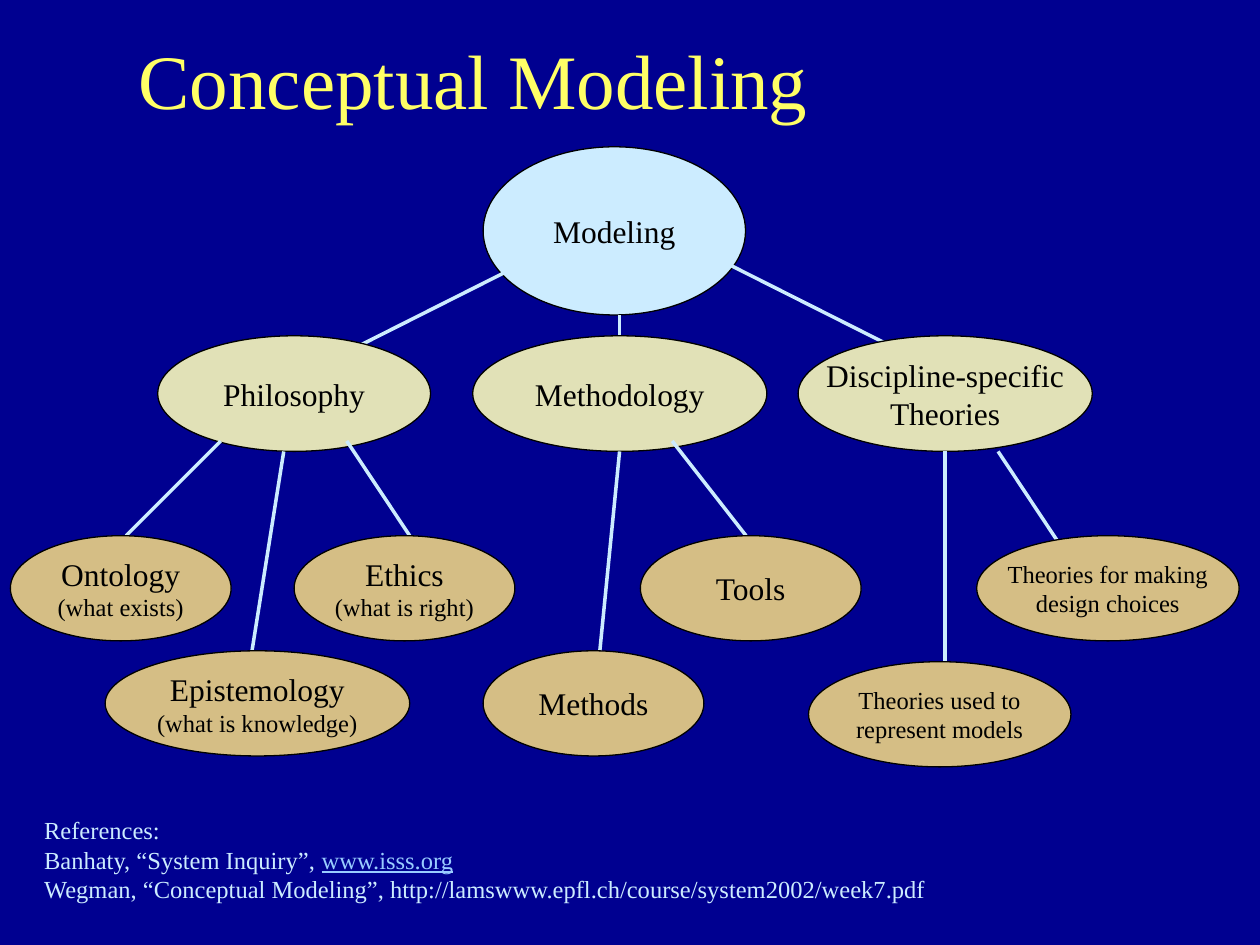
import pptx
import pptx.util
import pptx.dml.color
import pptx.enum.shapes
import pptx.enum.text
import lxml.etree

Cm = pptx.util.Cm
Pt = pptx.util.Pt
LEFT = pptx.enum.text.PP_ALIGN.LEFT
CENTER = pptx.enum.text.PP_ALIGN.CENTER
MIDDLE = pptx.enum.text.MSO_ANCHOR.MIDDLE
PALE_BLUE = "CCECFF"
GREEN = "E1E1B7"
TAN = "D5BE85"


def rgb(value):
    return pptx.dml.color.RGBColor.from_string(value)


def format_text(paragraph, size, color, alignment):
    paragraph.alignment = alignment
    for run in paragraph.runs:
        run.font.name = "Times New Roman"
        run.font.size = Pt(size)
        run.font.color.rgb = rgb(color)


presentation = pptx.Presentation()
presentation.slide_width = Cm(25.4)
presentation.slide_height = Cm(19.05)
slide = presentation.slides.add_slide(presentation.slide_layouts[5])
slide.background.fill.solid()
slide.background.fill.fore_color.rgb = rgb("000090")

title = slide.shapes.title
title.left, title.top, title.width, title.height = Cm(2.54), Cm(0), Cm(21.95), Cm(3.18)
title.text_frame.text = "Conceptual Modeling"
title.text_frame.vertical_anchor = MIDDLE
format_text(title.text_frame.paragraphs[0], 44, "FFFF66", LEFT)

# Each level: fill, height, links, then ellipses as left, top, width, text, sizes
levels = [
    (PALE_BLUE, 3.39, [], [(9.74, 2.96, 5.29, "Modeling", [18])]),
    (GREEN, 2.33, [
        (7.2, 6.99, 10.16, 5.5),
        (12.49, 6.77, 12.49, 6.35),
        (17.99, 6.99, 14.61, 5.29),
    ], [
        (3.18, 6.77, 5.5, "Philosophy", [18]),
        (9.53, 6.77, 5.93, "Methodology", [18]),
        (16.09, 6.77, 5.93, "Discipline-specific\nTheories", [18, 18]),
    ]),
    (TAN, 2.12, [
        (2.54, 10.8, 4.45, 8.89),
        (5.08, 13.12, 5.72, 9.1),
        (8.26, 10.8, 6.99, 8.89),
        (21.38, 11, 20.12, 9.1),
        (19.05, 13.34, 19.05, 9.1),
        (15.04, 10.8, 13.55, 8.89),
        (12.07, 13.34, 12.49, 9.1),
    ], [
        (2.12, 13.12, 6.14, "Epistemology\n(what is knowledge)", [18, 14]),
        (0.21, 10.8, 4.45, "Ontology\n(what exists)", [18, 14]),
        (5.93, 10.8, 4.45, "Ethics\n(what is right)", [18, 14]),
        (19.69, 10.8, 5.29, "Theories for making\ndesign choices", [14, 14]),
        (16.3, 13.34, 5.29, "Theories used to\nrepresent models", [14, 14]),
        (9.74, 13.12, 4.45, "Methods", [18]),
        (12.91, 10.8, 4.45, "Tools", [18]),
    ]),
]

for fill, height, links, ellipses in levels:
    for link in links:
        connector = slide.shapes.add_connector(
            pptx.enum.shapes.MSO_CONNECTOR.STRAIGHT, *map(Cm, link))
        connector.line.color.rgb = rgb(PALE_BLUE)
        connector.line.width = Pt(2)
        lxml.etree.SubElement(connector._element.spPr, pptx.oxml.ns.qn("a:effectLst"))
    for left, top, width, text, sizes in ellipses:
        ellipse = slide.shapes.add_shape(
            pptx.enum.shapes.MSO_SHAPE.OVAL, Cm(left), Cm(top), Cm(width), Cm(height))
        ellipse.shadow.inherit = False
        ellipse.fill.solid()
        ellipse.fill.fore_color.rgb = rgb(fill)
        ellipse.line.color.rgb = rgb("000000")
        ellipse.line.width = Pt(0.75)
        ellipse.text_frame.text = text
        ellipse.text_frame.word_wrap = False
        ellipse.text_frame.vertical_anchor = MIDDLE
        for paragraph, size in zip(ellipse.text_frame.paragraphs, sizes):
            format_text(paragraph, size, "000000", CENTER)

references = slide.shapes.add_textbox(Cm(0.64), Cm(16.31), Cm(18.34), Cm(2.03))
references.text_frame.word_wrap = False
references.text_frame.text = (
    "References:\n"
    "Banhaty, “System Inquiry”, \n"
    "Wegman, “Conceptual Modeling”, http://lamswww.epfl.ch/course/system2002/week7.pdf")
address = references.text_frame.paragraphs[1].add_run()
address.text = "www.isss.org"
for paragraph in references.text_frame.paragraphs:
    format_text(paragraph, 14, PALE_BLUE, LEFT)
address.font.color.rgb = rgb("99CCFF")
address.font.underline = True

presentation.save("out.pptx")
